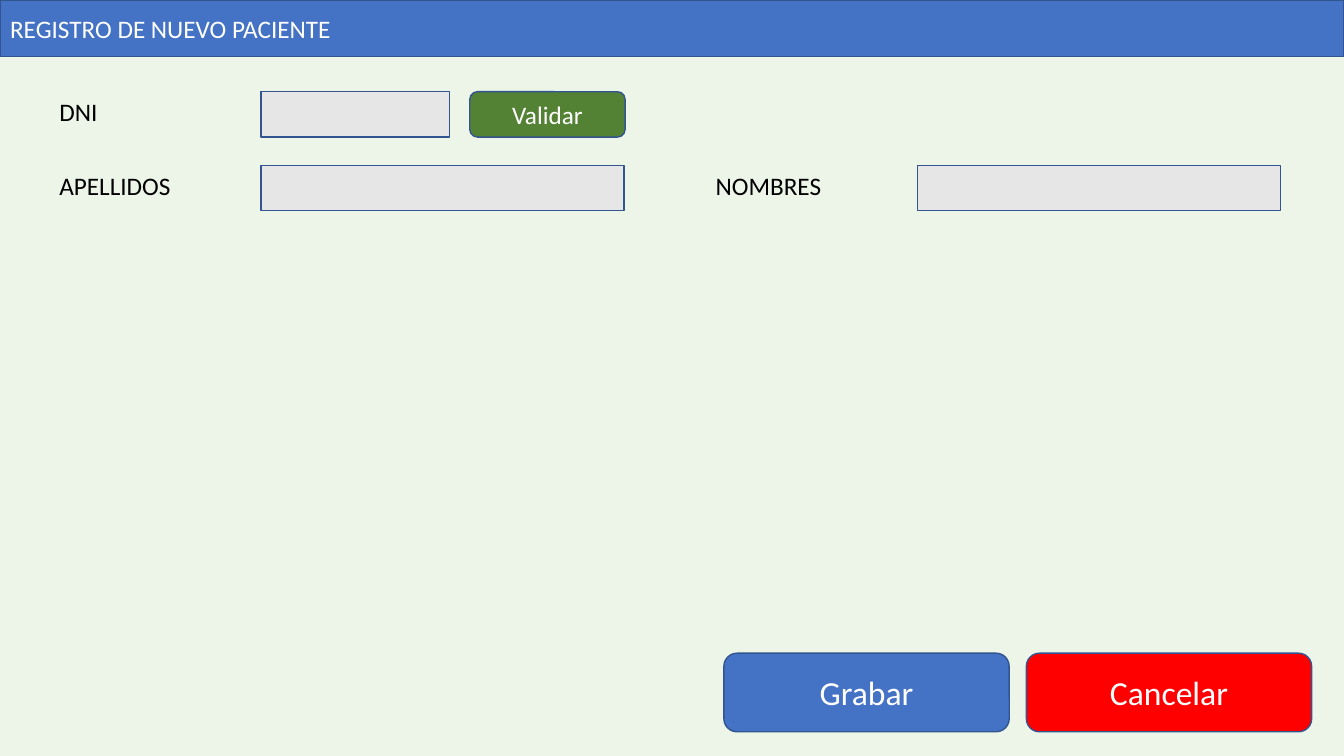
from dataclasses import dataclass

from pptx import Presentation
from pptx.dml.color import RGBColor
from pptx.enum.shapes import MSO_SHAPE as Preset
from pptx.enum.text import MSO_ANCHOR as Anchor, MSO_AUTO_SIZE as AutoSize, PP_ALIGN as Align
from pptx.util import Inches, Pt


@dataclass(frozen=True)
class Theme:
    font: str = "Calibri"
    body: int = 18
    action: int = 24
    border_width: int = 1
    background: str = "ECF5E7"
    blue: str = "4472C4"
    border: str = "325491"
    green: str = "548235"
    red: str = "FF0000"
    field: str = "E7E6E6"
    light: str = "FFFFFF"
    dark: str = "000000"


THEME = Theme()

# Form grid, in inches
LABEL_WIDTH, LABEL_HEIGHT = 1.75, 0.4
FIELD_OFFSET, FIELD_WIDTH, FIELD_HEIGHT = 2.1, 3.6, 0.45
LEFT_COLUMN, RIGHT_COLUMN = 0.49, 7
FIRST_ROW, SECOND_ROW = 0.91, 1.64


def paint(shape, fill):
    shape.fill.solid()
    shape.fill.fore_color.rgb = RGBColor.from_string(fill)
    shape.line.color.rgb = RGBColor.from_string(THEME.border)
    shape.line.width = Pt(THEME.border_width)


def write(shape, text, size, color, align=Align.LEFT, anchor=Anchor.MIDDLE):
    frame = shape.text_frame
    frame.text = text
    frame.word_wrap = True
    frame.vertical_anchor = anchor
    para = frame.paragraphs[0]
    para.alignment = align
    font = para.runs[0].font
    font.name = THEME.font
    font.size = Pt(size)
    font.color.rgb = RGBColor.from_string(color)


def add_title_bar(slide, text, width, height):
    title = slide.shapes.title
    title.left = title.top = 0
    title.width, title.height = width, Inches(height)
    paint(title, THEME.blue)
    write(title, text, THEME.body, THEME.light)
    title.text_frame.auto_size = AutoSize.NONE


def add_box(slide, preset, left, top, width, height, fill):
    box = slide.shapes.add_shape(
        preset, Inches(left), Inches(top), Inches(width), Inches(height))
    box.shadow.inherit = False
    paint(box, fill)
    return box


def add_button(slide, text, left, top, width, height, fill, size):
    button = add_box(slide, Preset.ROUNDED_RECTANGLE, left, top, width, height, fill)
    write(button, text, size, THEME.light, Align.CENTER)


def add_field(slide, text, left, top, width=FIELD_WIDTH):
    label = slide.shapes.add_textbox(
        Inches(left), Inches(top), Inches(LABEL_WIDTH), Inches(LABEL_HEIGHT))
    write(label, text, THEME.body, THEME.dark, anchor=Anchor.TOP)
    label.text_frame.auto_size = AutoSize.SHAPE_TO_FIT_TEXT
    add_box(slide, Preset.RECTANGLE, left + FIELD_OFFSET, top,
            width, FIELD_HEIGHT, THEME.field)


def main():
    deck = Presentation()
    deck.slide_width, deck.slide_height = Inches(13.33), Inches(7.5)
    slide = deck.slides.add_slide(deck.slide_layouts[5])
    slide.background.fill.solid()
    slide.background.fill.fore_color.rgb = RGBColor.from_string(THEME.background)

    # Title bar
    add_title_bar(slide, "REGISTRO DE NUEVO PACIENTE", deck.slide_width, 0.56)

    # Patient form
    add_field(slide, "DNI", LEFT_COLUMN, FIRST_ROW, 1.87)
    add_button(slide, "Validar", 4.66, FIRST_ROW, 1.54, FIELD_HEIGHT,
               THEME.green, THEME.body)
    add_field(slide, "APELLIDOS", LEFT_COLUMN, SECOND_ROW)
    add_field(slide, "NOMBRES", RIGHT_COLUMN, SECOND_ROW)

    # Form actions
    actions = [("Grabar", THEME.blue), ("Cancelar", THEME.red)]
    for index, (text, fill) in enumerate(actions):
        add_button(slide, text, 7.18 + 3 * index, 6.48, 2.83, 0.78,
                   fill, THEME.action)

    deck.save("out.pptx")


main()
